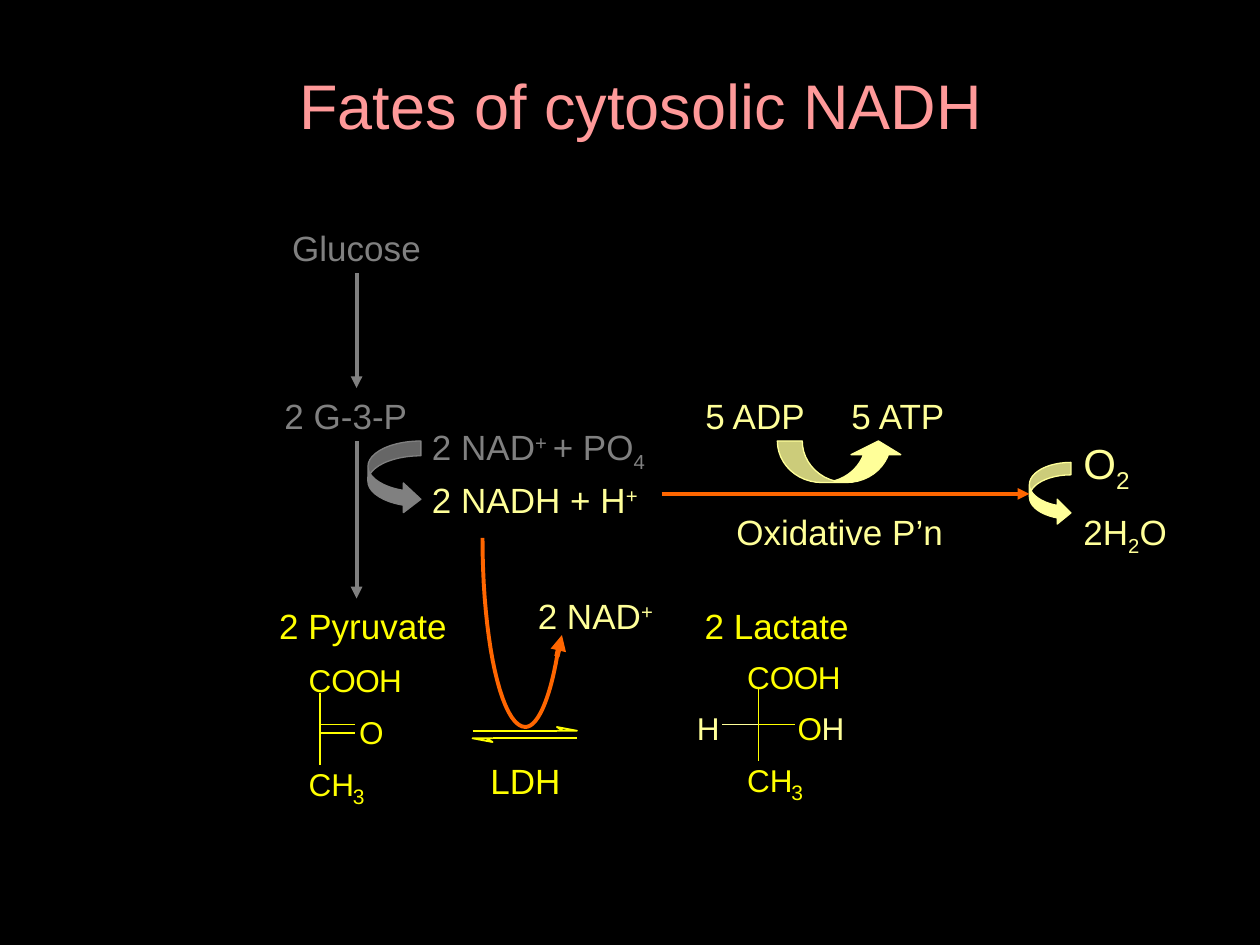
"""Build the slide on the fates of cytosolic NADH."""
from lxml import etree
from pptx import Presentation
from pptx.dml.color import RGBColor
from pptx.enum.shapes import MSO_CONNECTOR, MSO_SHAPE
from pptx.enum.text import MSO_ANCHOR, MSO_AUTO_SIZE, PP_ALIGN
from pptx.oxml.ns import qn
from pptx.util import Inches, Pt

STRAIGHT = MSO_CONNECTOR.STRAIGHT
CURVED_RIGHT = MSO_SHAPE.CURVED_RIGHT_ARROW
CURVED_UP = MSO_SHAPE.CURVED_UP_ARROW
MIDDLE, TOP = MSO_ANCHOR.MIDDLE, MSO_ANCHOR.TOP
GROW = MSO_AUTO_SIZE.SHAPE_TO_FIT_TEXT
LEFT, CENTER = PP_ALIGN.LEFT, PP_ALIGN.CENTER
SUP, SUB = 30000, -25000

THEME = {
    "font": "Arial",
    "black": "000000", "pink": "FF9999", "gray": "808080",
    "pale": "FFFF99", "yellow": "FFFF00", "orange": "FF6600",
    "title": 36, "oxygen": 24, "label": 20, "atom": 18, "index": 12,
    "thin": 0.75, "bond": 1, "arrow": 2.25, "tip": 3,
}

TITLE = ("Fates of cytosolic NADH", (2, 0.33, 6.17, 1))

LABELS = [
    ([("Glucose", 0)], (1.58, 1.75, 2.5), CENTER, "gray", "label"),
    ([("2 G-3-P", 0)], (1.58, 3.08, 2.33), CENTER, "gray", "label"),
    ([("2 NAD", 0), ("+ ", SUP), ("+ PO", 0), ("4", SUB)], (3.33, 3.33, 2), LEFT, "gray", "label"),
    ([("2 NADH + H", 0), ("+", SUP)], (3.33, 3.75, 2), LEFT, "pale", "label"),
    ([("5 ADP", 0)], (5.5, 3.08, 1.08), LEFT, "pale", "label"),
    ([("5 ATP", 0)], (6.66, 3.08, 1.5), LEFT, "pale", "label"),
    ([("Oxidative P’n", 0)], (5.25, 4, 2.83), CENTER, "pale", "label"),
    ([("O", 0), ("2", SUB)], (8.5, 3.42, 1.33), LEFT, "pale", "oxygen"),
    ([("2H", 0), ("2", SUB), ("O", 0)], (8.5, 4, 1.25), LEFT, "pale", "label"),
    ([("2 Pyruvate", 0)], (1.92, 4.75, 1.92), CENTER, "yellow", "label"),
    ([("2 Lactate", 0)], (5.25, 4.75, 1.83), CENTER, "yellow", "label"),
    ([("LDH", 0)], (3.67, 5.98, 1), CENTER, "yellow", "label"),
    ([("2 NAD", 0), ("+", SUP)], (4.17, 4.67, 1.17), LEFT, "pale", "label"),
]
LABEL_HEIGHT = {"label": 0.43, "oxygen": 0.5}

ARROWS = [
    ((2.83, 2.17), (2.83, 3.08), "gray", "arrow"),
    ((2.83, 3.5), (2.83, 4.75), "gray", "arrow"),
    ((5.25, 3.92), (8.17, 3.92), "orange", "arrow"),
    ((4.42, 5.21), (4.46, 5.04), "orange", "tip"),
]

CURVED_ARROWS = [
    (CURVED_RIGHT, (2.92, 3.5, 0.42, 0.58), (0.28, 0.56, 0.33), "gray"),
    (CURVED_UP, (6.17, 3.5, 1, 0.33), (0.6, 1.2, 0.33), "pale"),
    (CURVED_RIGHT, (8.17, 3.67, 0.33, 0.5), (0.3, 0.6, 0.33), "pale"),
]

ATOM_WIDTH = {"C": 0.18, "H": 0.18, "O": 0.19, "3": 0.09}
ATOM_HEIGHT = {"atom": 0.3, "index": 0.2}
CHAIN_ATOMS = [
    ("COOH", 0, 0, "yellow", "atom"),
    ("CH", 0, 0.82, "yellow", "atom"),
    ("3", 0.35, 0.97, "yellow", "index"),
    ("O", 0.4, 0.41, "yellow", "atom"),
]
CHAIN_BONDS = [
    ((0.09, 0.25), (0.09, 0.54), "yellow"),
    ((0.09, 0.54), (0.09, 0.82), "yellow"),
]
MOLECULES = {
    "pyruvate": {
        "origin": (2.45, 5.25),
        "atoms": [],
        "bonds": [((0.1, y), (0.37, y), "yellow") for y in (0.5, 0.57)],
    },
    "lactate": {
        "origin": (5.93, 5.22),
        "atoms": [("H", -0.4, 0.41, "pale", "atom"), ("H", 0.59, 0.41, "pale", "atom")],
        "bonds": [((0.09, 0.53), (-0.2, 0.53), "pale"), ((0.09, 0.53), (0.38, 0.53), "yellow")],
    },
}

EQUILIBRIUM = [((3.75, 5.8), (4.58, 5.8), 1), ((4.58, 5.86), (3.75, 5.86), -1)]
BARB_LENGTH, BARB_NOTCH, BARB_RISE = 0.16, 0.11, 0.03

NADH_CURVE = [
    ((4.43, 5.16), (4.37, 5.54), (4.27, 5.77), (4.17, 5.77)),
    ((4.17, 5.77), (3.98, 5.77), (3.83, 5.09), (3.83, 4.27)),
]
CURVE_STEPS = 20


def color(name):
    return RGBColor.from_string(THEME[name])


def set_line(shape, name, width):
    shape.line.color.rgb = color(name)
    shape.line.width = Pt(THEME[width])


def fill_text(tf, runs, align, name, size, **frame):
    for key, value in frame.items():
        setattr(tf, key, value)
    p = tf.paragraphs[0]
    p.alignment = align
    for text, baseline in runs:
        r = p.add_run()
        r.text = text
        for key, value in {"name": THEME["font"], "size": Pt(THEME[size])}.items():
            setattr(r.font, key, value)
        r.font.color.rgb = color(name)
        if baseline:
            r._r.get_or_add_rPr().set("baseline", str(baseline))


def add_line(s, start, end, name, width, arrow=False):
    line = s.shapes.add_connector(STRAIGHT, *map(Inches, start + end))
    set_line(line, name, width)
    if arrow:
        etree.SubElement(line.line._get_or_add_ln(), qn("a:tailEnd"), type="triangle")
    etree.SubElement(line._element.spPr, qn("a:effectLst"))


def add_outline(s, points, name, width, fill=None):
    points = [(Inches(x), Inches(y)) for x, y in points]
    builder = s.shapes.build_freeform(*points[0])
    builder.add_line_segments(points[1:], close=fill is not None)
    sp = builder.convert_to_shape()
    sp.shadow.inherit = False
    set_line(sp, name, width)
    if fill:
        sp.fill.solid()
        sp.fill.fore_color.rgb = color(fill)
    else:
        sp.fill.background()


def add_molecule(s, molecule):
    left, top = molecule["origin"]
    for (x1, y1), (x2, y2), name in CHAIN_BONDS + molecule["bonds"]:
        add_line(s, (left + x1, top + y1), (left + x2, top + y2), name, "bond")
    for letters, dx, dy, name, size in CHAIN_ATOMS + molecule["atoms"]:
        x = left + dx
        for letter in letters:
            box = (x, top + dy, ATOM_WIDTH[letter], ATOM_HEIGHT[size])
            tf = s.shapes.add_textbox(*map(Inches, box)).text_frame
            fill_text(tf, [(letter, 0)], CENTER, name, size, margin_left=0, margin_right=0,
                      margin_top=0, margin_bottom=0, word_wrap=False, auto_size=GROW)
            x += ATOM_WIDTH[letter]


def bezier(a, b, c, d, t):
    weights = ((1 - t) ** 3, 3 * t * (1 - t) ** 2, 3 * t * t * (1 - t), t ** 3)
    return tuple(sum(w * v for w, v in zip(weights, axis)) for axis in zip(a, b, c, d))


def main():
    prs = Presentation()
    prs.slide_width, prs.slide_height = Inches(10), Inches(7.5)
    s = prs.slides.add_slide(prs.slide_layouts[5])
    s.background.fill.solid()
    s.background.fill.fore_color.rgb = color("black")

    title, box = TITLE
    for key, value in zip(("left", "top", "width", "height"), box):
        setattr(s.shapes.title, key, Inches(value))
    fill_text(s.shapes.title.text_frame, [(title, 0)], CENTER, "pink", "title",
              vertical_anchor=MIDDLE, word_wrap=True)

    for runs, place, align, name, size in LABELS:
        box = place + (LABEL_HEIGHT[size],)
        tf = s.shapes.add_textbox(*map(Inches, box)).text_frame
        fill_text(tf, runs, align, name, size, vertical_anchor=TOP, word_wrap=True, auto_size=GROW)

    for kind, box, adjustments, name in CURVED_ARROWS:
        sp = s.shapes.add_shape(kind, *map(Inches, box))
        sp.shadow.inherit = False
        sp.fill.solid()
        sp.fill.fore_color.rgb = color(name)
        set_line(sp, name, "thin")
        for i, value in enumerate(adjustments):
            sp.adjustments[i] = value

    for molecule in MOLECULES.values():
        add_molecule(s, molecule)

    for (x1, y), (tip, _), way in EQUILIBRIUM:
        base, notch = tip - way * BARB_LENGTH, tip - way * BARB_NOTCH
        add_line(s, (x1, y), (base, y), "yellow", "bond")
        barb = [(base, y), (notch, y), (base, y - way * BARB_RISE), (tip, y), (notch, y)]
        add_outline(s, barb, "yellow", "bond", "black")

    curve = [bezier(*part, i / CURVE_STEPS) for part in NADH_CURVE for i in range(CURVE_STEPS + 1)]
    add_outline(s, curve, "orange", "arrow")
    for start, end, name, width in ARROWS:
        add_line(s, start, end, name, width, arrow=True)
    prs.save("out.pptx")


if __name__ == "__main__":
    main()
